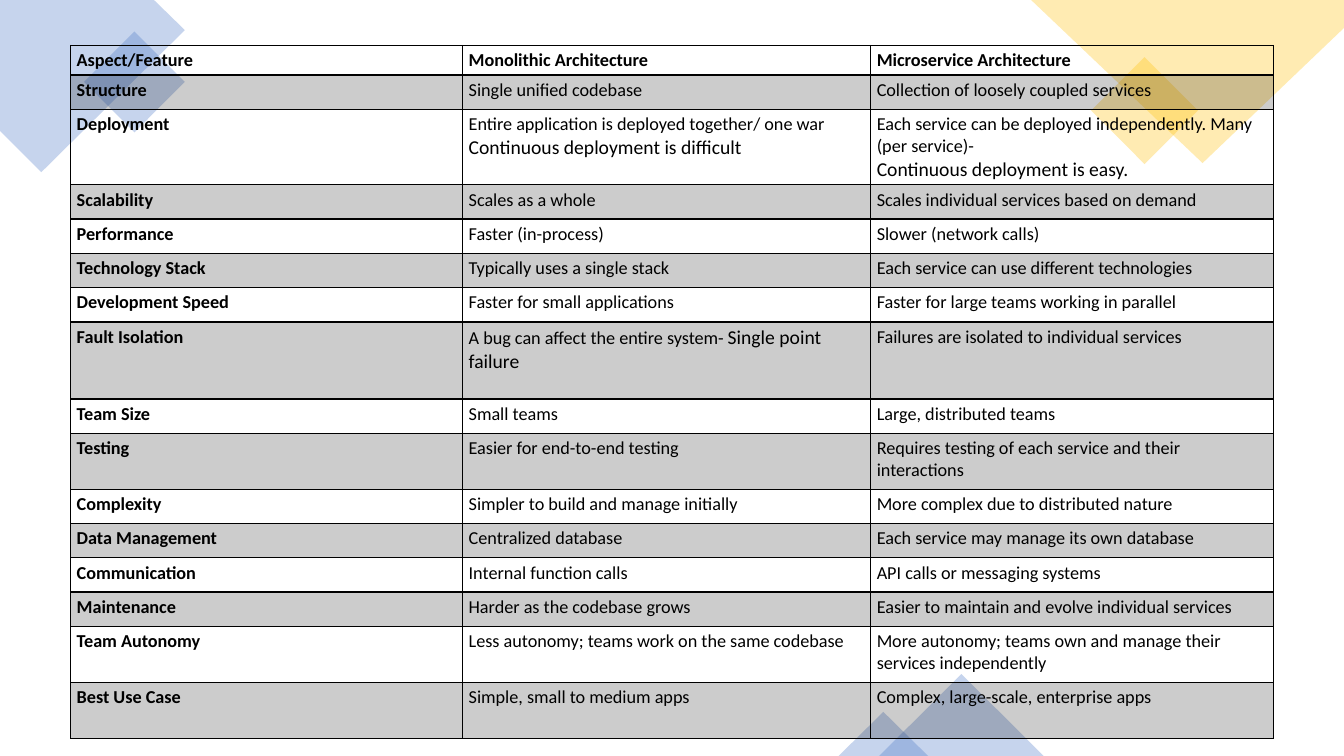
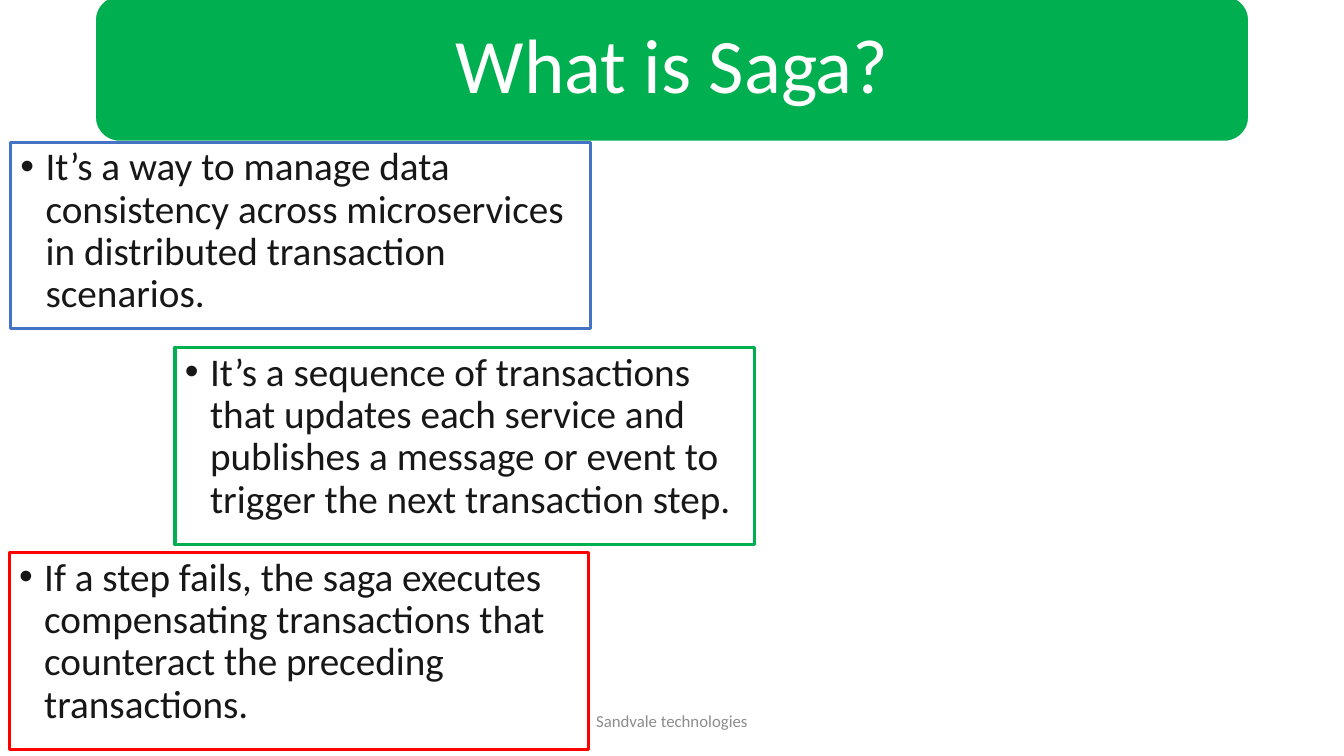
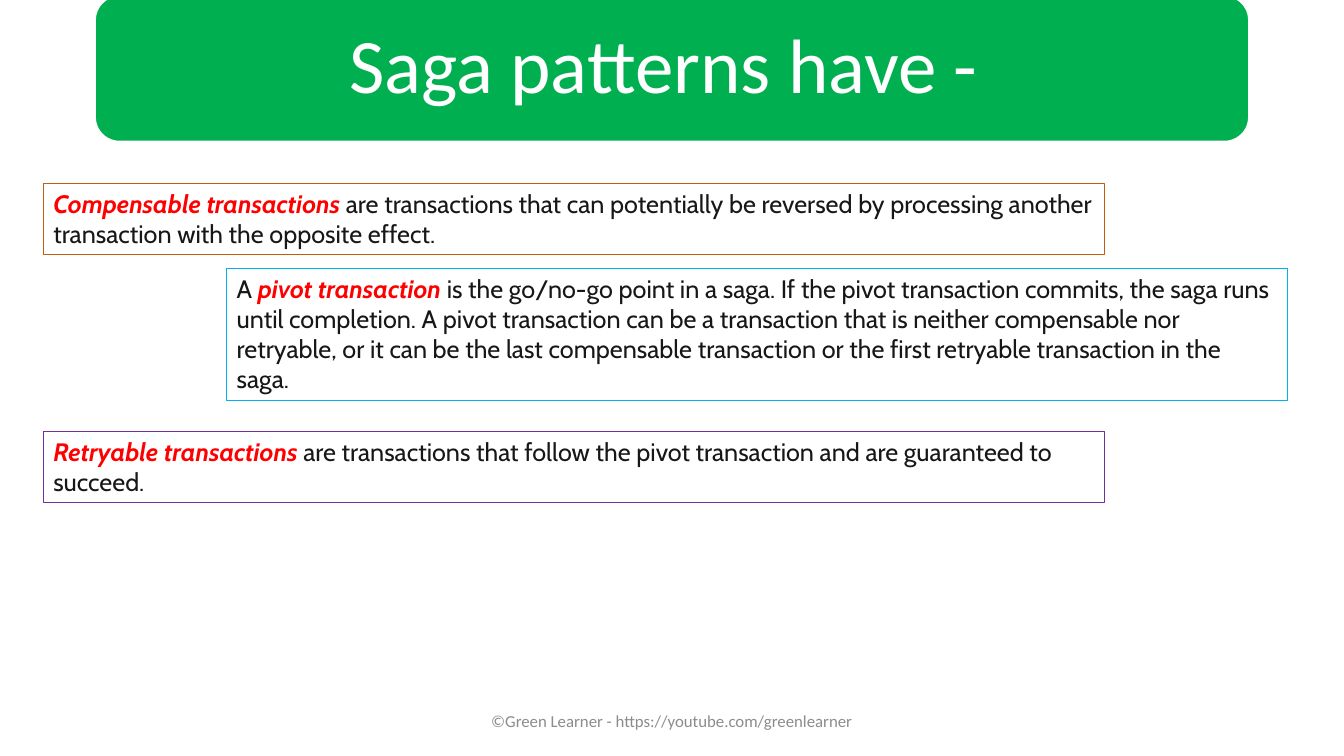
from lxml import etree
from pptx import Presentation
from pptx.dml.color import RGBColor
from pptx.enum.shapes import MSO_SHAPE as Preset
from pptx.enum.text import MSO_ANCHOR as Anchor, PP_ALIGN as Align
from pptx.oxml.ns import qn
from pptx.util import Pt

COLORS = {"blue": "4472C4", "gold": "FFC000", "black": "000000", "white": "FFFFFF",
          "green": "00B050", "red": "FF0000", "ink": "171717", "gray": "8C8C8C",
          "orange": "C55A11", "sky": "00B0F0", "purple": "7030A0"}
FONT, ACCENT_FONT = "Calibri", "Cabin"

CORNERS = [
    ("blue", [(0, 0), (110, 0), (132, 21.5), (29.5, 123), (0, 93.5)]),
    ("gold", [(736.5, 0), (960, 0), (960, 20), (859, 116.5)]),
]
ORNAMENTS = [
    ("blue", Preset.RECTANGLE, (70.5, 33, 51, 51), 45),
    ("gold", Preset.RECTANGLE, (790.5, 52, 54, 54), 45),
    ("blue", Preset.ISOSCELES_TRIANGLE, (628, 481.5, 117.5, 58.5), 0),
    ("blue", Preset.ISOSCELES_TRIANGLE, (599, 508.5, 64, 31.5), 0),
]

TABLE_LEFT, TABLE_TOP = 50.5, 32.5
COLUMN_WIDTHS = [280, 291.5, 287.5]
DEFAULT_ROW = 24.5
ROW_HEIGHTS = {0: 21, 2: 54, 7: 55, 9: 40, 14: 40, 15: 40}
COMPARISON = [
    ("Aspect/Feature", "Monolithic Architecture", "Microservice Architecture"),
    ("Structure", "Single unified codebase", "Collection of loosely coupled services"),
    ("Deployment",
     [[("Entire application is deployed together/ one war", 13)],
      [("Continuous deployment is difficult", 14)]],
     [[("Each service can be deployed independently. Many (per service)-", 13)],
      [("Continuous deployment is easy.", 14)]]),
    ("Scalability", "Scales as a whole", "Scales individual services based on demand"),
    ("Performance", "Faster (in-process)", "Slower (network calls)"),
    ("Technology Stack", "Typically uses a single stack",
     "Each service can use different technologies"),
    ("Development Speed", "Faster for small applications",
     "Faster for large teams working in parallel"),
    ("Fault Isolation",
     [[("A bug can affect the entire system- ", 13), ("Single point failure", 14)]],
     "Failures are isolated to individual services"),
    ("Team Size", "Small teams", "Large, distributed teams"),
    ("Testing", "Easier for end-to-end testing",
     "Requires testing of each service and their interactions"),
    ("Complexity", "Simpler to build and manage initially",
     "More complex due to distributed nature"),
    ("Data Management", "Centralized database", "Each service may manage its own database"),
    ("Communication", "Internal function calls", "API calls or messaging systems"),
    ("Maintenance", "Harder as the codebase grows",
     "Easier to maintain and evolve individual services"),
    ("Team Autonomy", "Less autonomy; teams work on the same codebase",
     "More autonomy; teams own and manage their services independently"),
    ("Best Use Case", "Simple, small to medium apps", "Complex, large-scale, enterprise apps"),
]

SAGA_POINTS = [
    ("blue", (7.5, 101.5, 414, 133),
     "It’s a way to manage data consistency across microservices in distributed "
     "transaction scenarios."),
    ("green", (125, 248, 414, 141),
     "It’s a sequence of transactions that updates each service and publishes a message "
     "or event to trigger the next transaction step."),
    ("red", (6.5, 394.5, 414, 141),
     "If a step fails, the saga executes compensating transactions that counteract the "
     "preceding transactions."),
]
TRANSACTIONS = [
    ("orange", (31, 131, 758, 51), "", "Compensable transactions ",
     "are transactions that can potentially be reversed by processing another transaction "
     "with the opposite effect."),
    ("sky", (162, 191.5, 758, 94.5), "A ", "pivot transaction ",
     "is the go/no-go point in a saga. If the pivot transaction commits, the saga runs until "
     "completion. A pivot transaction can be a transaction that is neither compensable nor "
     "retryable, or it can be the last compensable transaction or the first retryable "
     "transaction in the saga."),
    ("purple", (31, 308, 758, 51), "", "Retryable transactions ",
     "are transactions that follow the pivot transaction and are guaranteed to succeed."),
]


def rgb(name):
    return RGBColor.from_string(COLORS[name])


def place(bounds):
    return [Pt(value) for value in bounds]


def paint(fill, color, opacity=100):
    fill.solid()
    fill.fore_color.rgb = rgb(color)
    if opacity < 100:
        tint = fill._xPr.find(qn("a:solidFill"))[0]
        etree.SubElement(tint, qn("a:alpha"), val=str(opacity * 1000))


def add_span(para, text, size, color, font=FONT, bold=False, italic=False):
    span = para.add_run()
    span.text = text
    span.font.name, span.font.size = font, Pt(size)
    span.font.bold, span.font.italic = bold, italic
    span.font.color.rgb = rgb(color)


def add_ornament(shape, color):
    shape.shadow.inherit = False
    paint(shape.fill, color, 30)
    shape.line.fill.background()


def add_outlined_box(page, bounds, color, weight):
    box = page.shapes.add_shape(Preset.RECTANGLE, *place(bounds))
    box.shadow.inherit = False
    box.fill.background()
    box.line.color.rgb = rgb(color)
    box.line.width = Pt(weight)
    frame = box.text_frame
    frame.word_wrap = True
    frame.vertical_anchor = Anchor.TOP
    para = frame.paragraphs[0]
    para.alignment = Align.LEFT
    return para


def add_titled_page(deck, title, footer):
    page = deck.slides.add_slide(deck.slide_layouts[6])
    band = page.shapes.add_shape(Preset.ROUNDED_RECTANGLE, *place((68, -3, 824, 104)))
    band.shadow.inherit = False
    paint(band.fill, "green")
    band.line.color.rgb = rgb("white")
    band.line.width = Pt(1)
    band.text_frame.vertical_anchor = Anchor.MIDDLE
    para = band.text_frame.paragraphs[0]
    para.alignment, para.line_spacing = Align.CENTER, 0.9
    add_span(para, title, 55, "white")

    note = page.shapes.add_textbox(*place((318, 500.5, 324, 29))).text_frame
    note.word_wrap = True
    note.vertical_anchor = Anchor.MIDDLE
    para = note.paragraphs[0]
    para.alignment = Align.CENTER
    add_span(para, footer, 12, "gray")
    return page


def set_borders(cell, weights):
    properties = cell._tc.get_or_add_tcPr()
    for index, (side, weight) in enumerate(weights.items()):
        line = etree.Element(qn("a:ln" + side), w=str(Pt(weight)))
        fill = etree.SubElement(line, qn("a:solidFill"))
        etree.SubElement(fill, qn("a:srgbClr"), val=COLORS["black"])
        properties.insert(index, line)


def fill_cell(cell, content, row, column):
    cell.margin_left, cell.margin_top = Pt(4.3), Pt(2.9)
    cell.margin_right, cell.margin_bottom = Pt(2.9), Pt(2.2)
    if row % 2:
        paint(cell.fill, "black", 20)
    else:
        cell.fill.background()
    set_borders(cell, {"L": 1, "R": 1, "T": 2 if row == 1 else 1, "B": 2 if row == 0 else 1})
    paragraphs = [[(content, 13)]] if isinstance(content, str) else content
    for index, spans in enumerate(paragraphs):
        frame = cell.text_frame
        para = frame.add_paragraph() if index else frame.paragraphs[0]
        for text, size in spans:
            add_span(para, text, size, "black", bold=row == 0 or column == 0)


def build_comparison(deck):
    page = deck.slides.add_slide(deck.slide_layouts[6])
    for color, points in CORNERS:
        start, *rest = [place(point) for point in points]
        outline = page.shapes.build_freeform(*start, scale=1.0)
        outline.add_line_segments(rest, close=True)
        add_ornament(outline.convert_to_shape(), color)
    for color, preset, bounds, angle in ORNAMENTS:
        shape = page.shapes.add_shape(preset, *place(bounds))
        shape.rotation = angle
        add_ornament(shape, color)

    heights = [ROW_HEIGHTS.get(row, DEFAULT_ROW) for row in range(len(COMPARISON))]
    bounds = (TABLE_LEFT, TABLE_TOP, sum(COLUMN_WIDTHS), sum(heights))
    table = page.shapes.add_table(len(heights), len(COLUMN_WIDTHS), *place(bounds)).table
    table.first_row = table.horz_banding = False
    for column, width in enumerate(COLUMN_WIDTHS):
        table.columns[column].width = Pt(width)
    for row, contents in enumerate(COMPARISON):
        table.rows[row].height = Pt(heights[row])
        for column, content in enumerate(contents):
            fill_cell(table.cell(row, column), content, row, column)


def build_definition(deck):
    page = add_titled_page(deck, "What is Saga?", "Sandvale technologies")
    for color, bounds, text in SAGA_POINTS:
        para = add_outlined_box(page, bounds, color, 2.25)
        properties = para._p.get_or_add_pPr()
        properties.set("marL", str(Pt(18)))
        properties.set("indent", str(Pt(-18)))
        etree.SubElement(properties, qn("a:buFont"), typeface="Arial")
        etree.SubElement(properties, qn("a:buChar"), char="•")
        para.line_spacing = 0.9
        add_span(para, text, 28, "ink")


def build_transactions(deck):
    page = add_titled_page(deck, "Saga patterns have - ",
                           "©Green Learner - https://youtube.com/greenlearner")
    for color, bounds, lead, term, meaning in TRANSACTIONS:
        para = add_outlined_box(page, bounds, color, 0.75)
        if lead:
            add_span(para, lead, 18, "ink", ACCENT_FONT)
        add_span(para, term, 18, "red", ACCENT_FONT, bold=True, italic=True)
        add_span(para, meaning, 18, "ink", ACCENT_FONT)


def main():
    deck = Presentation()
    deck.slide_width, deck.slide_height = Pt(960), Pt(540)
    build_comparison(deck)
    build_definition(deck)
    build_transactions(deck)
    deck.save("out.pptx")


if __name__ == "__main__":
    main()
